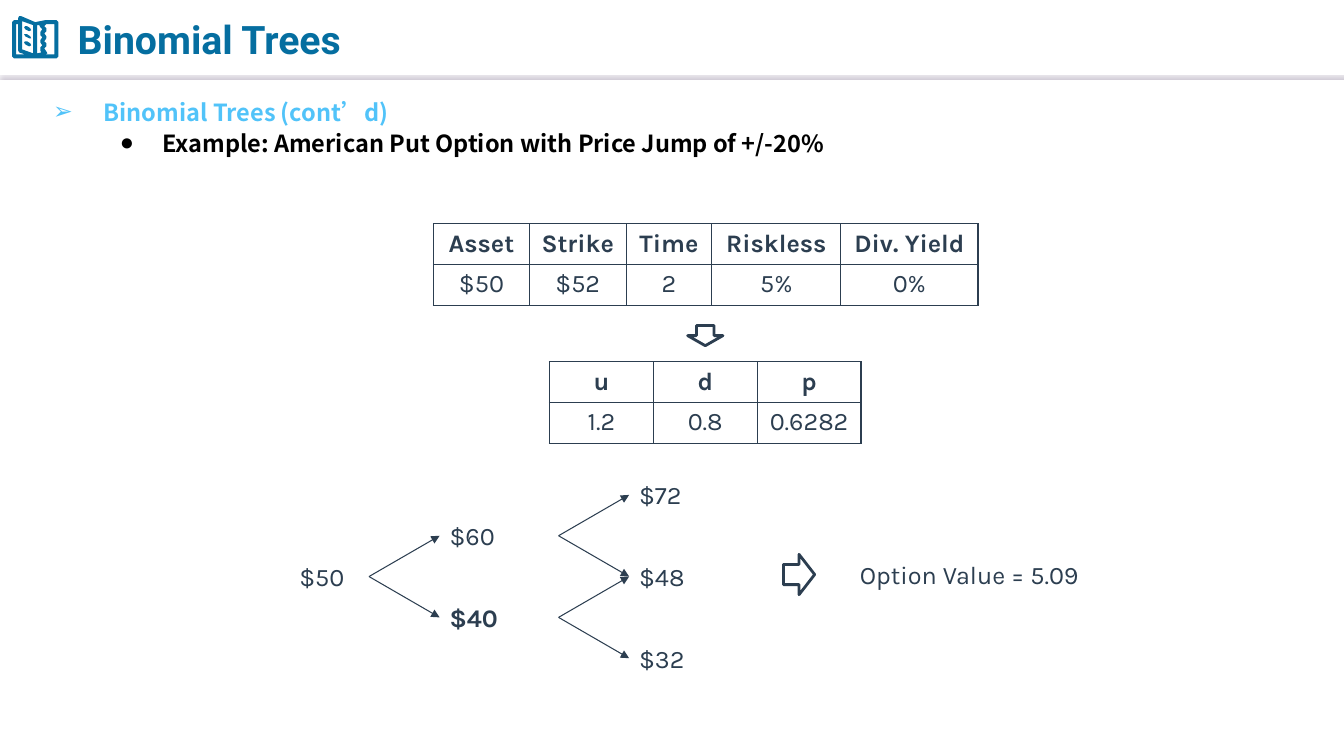
import dataclasses

import pptx
import pptx.dml.color
import pptx.enum.shapes
import pptx.enum.text
import pptx.oxml
import pptx.oxml.ns
import pptx.util
from pptx.util import Inches

SHAPES = pptx.enum.shapes.MSO_SHAPE
ALIGN = pptx.enum.text.PP_ALIGN
ANCHOR = pptx.enum.text.MSO_ANCHOR
NAMESPACE = pptx.oxml.ns.nsdecls("a")


@dataclasses.dataclass(frozen=True)
class Theme:
    blue: str = "056EA0"
    sky: str = "51C3F9"
    ink: str = "2C3E50"
    black: str = "000000"
    white: str = "FFFFFF"
    shade: str = "BCB4C4"
    title_font: str = "Roboto"
    body_font: str = "Noto Sans CJK SC"
    label_font: str = "Karla"
    title_size: float = 28
    body_size: float = 16.8
    label_size: float = 18


THEME = Theme()

# Outlines of the open book, in hundredths of an inch
BOOK = [
    [(9, 0), (23, 6), (33, 4), (44, 4), (46, 6), (46, 40), (44, 42), (2, 42),
     (0, 40), (0, 6), (2, 4), (6, 4), (6, 2), (7, 0)],
    [(10, 5), (10, 33), (21, 37), (21, 9)],
    [(4, 8), (4, 38), (13, 38), (7, 36), (6, 34), (6, 8)],
    [(27, 9), (25, 9), (25, 37), (29, 36), (28, 34), (28, 31), (30, 29), (28, 26),
     (28, 24), (30, 21), (28, 19), (28, 16), (30, 13), (28, 11)],
    [(34, 8), (32, 10), (34, 12), (34, 15), (32, 17), (34, 20), (34, 22), (32, 25),
     (34, 27), (34, 30), (32, 32), (34, 35), (35, 37), (33, 38), (42, 38), (42, 8)],
]
BOOK_TEXT_LINE = [(13, 10), (15, 10), (18, 12), (19, 14), (17, 15), (13, 13), (12, 11)]


def rgb(color):
    return pptx.dml.color.RGBColor.from_string(color)


def xml(markup):
    return pptx.oxml.parse_xml(markup)


def add_run(para, text, font, size, color, bold=False):
    span = para.add_run()
    span.text = text
    span.font.name = font
    span.font.size = pptx.util.Pt(size)
    span.font.color.rgb = rgb(color)
    span.font.bold = bold
    return span


def add_text_box(page, left, top, width, height, wrap=True):
    frame = page.shapes.add_textbox(*map(Inches, (left, top, width, height))).text_frame
    frame.word_wrap = wrap
    return frame


def add_label(page, text, left, top, width, bold=False, wrap=True):
    frame = add_text_box(page, left, top, width, 0.4, wrap)
    add_run(frame.paragraphs[0], text, THEME.label_font, THEME.label_size, THEME.ink, bold)


def add_line(page, start, end, color, effects="", arrow=False):
    line = page.shapes.add_connector(
        pptx.enum.shapes.MSO_CONNECTOR.STRAIGHT, *map(Inches, (*start, *end)))
    line.line.color.rgb = rgb(color)
    line.line.width = pptx.util.Pt(0.75)
    if arrow:
        line.line._get_or_add_ln().append(xml(f'<a:tailEnd {NAMESPACE} type="triangle"/>'))
    line._element.spPr.append(xml(f"<a:effectLst {NAMESPACE}>{effects}</a:effectLst>"))


def add_book(page, left, top):
    text_lines = [[(x, y + 7.5 * row) for x, y in BOOK_TEXT_LINE] for row in range(3)]
    outline, *inner = BOOK + text_lines
    builder = page.shapes.build_freeform(*outline[0], scale=Inches(0.01))
    builder.add_line_segments(outline[1:])
    for contour in inner:
        builder.move_to(*contour[0])
        builder.add_line_segments(contour[1:])
    book = builder.convert_to_shape(Inches(left), Inches(top))
    book.shadow.inherit = False
    book.fill.solid()
    book.fill.fore_color.rgb = rgb(THEME.blue)
    book.line.fill.background()


def add_header(page, width, height):
    shadow = (f'<a:outerShdw blurRad="12700" dist="38100" dir="5400000" algn="t" '
              f'rotWithShape="0"><a:srgbClr val="{THEME.shade}"/></a:outerShdw>')
    add_line(page, (0, height), (width, height), THEME.white, shadow)
    add_book(page, 0.12, 0.16)
    title = page.shapes.title
    title.left, title.top = Inches(0.67), Inches(0.07)
    title.width, title.height = Inches(7.36), Inches(height - 0.1)
    title.text_frame.vertical_anchor = ANCHOR.MIDDLE
    para = title.text_frame.paragraphs[0]
    para.alignment = ALIGN.LEFT
    add_run(para, "Binomial Trees", THEME.title_font, THEME.title_size, THEME.blue, True)


def add_outline(page, left, top, width, height):
    frame = add_text_box(page, left, top, width, height)
    items = [
        ("Binomial Trees (cont’d)", "➢", 0.5, 0.5, THEME.sky),
        ("Example: American Put Option with Price Jump of +/-20%", "●", 1.08, 0.42, THEME.black),
    ]
    for level, (text, bullet, margin, hanging, color) in enumerate(items):
        para = frame.add_paragraph() if level else frame.paragraphs[0]
        para.level = level
        para.line_spacing = 1.1
        settings = para._p.get_or_add_pPr()
        settings.set("marL", str(Inches(margin)))
        settings.set("indent", str(-Inches(hanging)))
        settings.append(xml(f'<a:buFont {NAMESPACE} typeface="Arial"/>'))
        settings.append(xml(f'<a:buChar {NAMESPACE} char="{bullet}"/>'))
        span = add_run(para, text, THEME.body_font, THEME.body_size, color, True)
        span.font._element.append(xml(f'<a:ea {NAMESPACE} typeface="{THEME.body_font}"/>'))


def add_grid(page, left, top, widths, rows):
    """Add a bordered table whose first row is bold."""
    row_height = 0.405
    table = page.shapes.add_table(
        len(rows), len(widths), Inches(left), Inches(top),
        Inches(sum(widths)), Inches(row_height * len(rows))).table
    table.first_row = table.horz_banding = False
    for column, width in zip(table.columns, widths):
        column.width = Inches(width)
    for row_index, row in enumerate(rows):
        table.rows[row_index].height = Inches(row_height)
        for column_index, text in enumerate(row):
            cell = table.cell(row_index, column_index)
            settings = cell._tc.get_or_add_tcPr()
            for side in ("lnL", "lnR", "lnT", "lnB"):
                settings.append(xml(
                    f'<a:{side} {NAMESPACE} w="12700"><a:solidFill>'
                    f'<a:srgbClr val="{THEME.ink}"/></a:solidFill></a:{side}>'))
            cell.fill.background()
            para = cell.text_frame.paragraphs[0]
            para.alignment = ALIGN.CENTER
            add_run(para, text, THEME.label_font, THEME.label_size, THEME.ink, row_index == 0)


def add_block_arrow(page, kind, left, top, width, height):
    arrow = page.shapes.add_shape(kind, *map(Inches, (left, top, width, height)))
    arrow.shadow.inherit = False
    arrow.fill.background()
    arrow.line.color.rgb = rgb(THEME.ink)
    arrow.line.width = pptx.util.Pt(2)


def add_price_tree(page, left, top):
    """Lay out the prices by step, spreading each step around the middle."""
    steps = [["$50"], ["$60", "$40"], ["$72", "$48", "$32"]]
    columns = [left, left + 1.49, left + 3.37]
    widths = [0.79, 1.18, 1.18]
    rise = 0.405
    middle = top + 2 * rise

    def node_top(step, downs):
        return middle + rise * (2 * downs - step)

    for step, prices in enumerate(steps):
        for downs, price in enumerate(prices):
            add_label(page, price, columns[step], node_top(step, downs),
                      widths[step], bold=price == "$40")
    for step in range(len(steps) - 1):
        for downs in range(step + 1):
            start = (columns[step] + widths[step], node_top(step, downs) + 0.2)
            for child in (downs, downs + 1):
                end = (columns[step + 1], node_top(step + 1, child) + 0.2)
                add_line(page, start, end, THEME.ink, arrow=True)


def build_slide(deck):
    page = deck.slides.add_slide(deck.slide_layouts[5])
    add_header(page, 13.33, 0.73)
    add_outline(page, 0.43, 0.89, 12.47, 0.91)
    add_grid(page, 4.3, 2.22, [0.95, 0.96, 0.85, 1.28, 1.36],
             [["Asset", "Strike", "Time", "Riskless", "Div. Yield"],
              ["$50", "$52", "2", "5%", "0%"]])
    add_block_arrow(page, SHAPES.DOWN_ARROW, 6.82, 3.23, 0.35, 0.2)
    add_grid(page, 5.45, 3.59, [1.03] * 3, [["u", "d", "p"], ["1.2", "0.8", "0.6282"]])
    add_price_tree(page, 2.87, 4.71)
    add_block_arrow(page, SHAPES.RIGHT_ARROW, 7.77, 5.5, 0.31, 0.4)
    add_label(page, "Option Value = 5.09", 8.43, 5.5, 2.42, wrap=False)


def main():
    deck = pptx.Presentation()
    deck.slide_width, deck.slide_height = Inches(13.33), Inches(7.5)
    build_slide(deck)
    deck.save("out.pptx")


if __name__ == "__main__":
    main()
